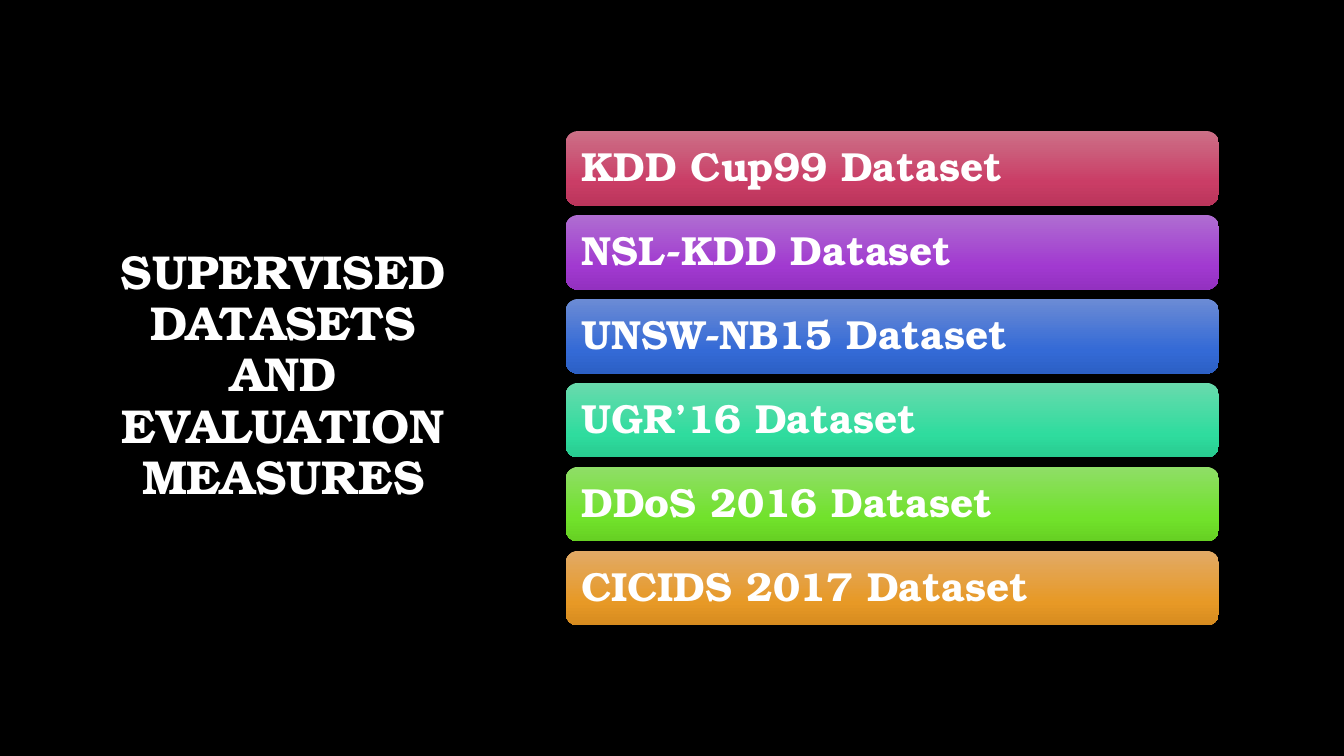
from copy import deepcopy

from pptx import Presentation
from pptx.dml.color import RGBColor
from pptx.enum.shapes import MSO_SHAPE
from pptx.enum.text import MSO_ANCHOR, PP_ALIGN
from pptx.oxml.ns import qn
from pptx.util import Inches, Pt

FONT = "TeX Gyre Bonum"
WHITE = "FFFFFF"
STOP_POSITIONS = (0, 0.69, 1)
BAR_TOP, BAR_PITCH = 1.3, 0.833
DATASETS = [
    ("KDD Cup99 Dataset", ("CC7087", "CA3D66", "BA355B")),
    ("NSL-KDD Dataset", ("AF6DD1", "A139D0", "9331C0")),
    ("UNSW-NB15 Dataset", ("6B8BD5", "346AD6", "2C60C5")),
    ("UGR’16 Dataset", ("69DAAD", "2FDC9E", "28CB90")),
    ("DDoS 2016 Dataset", ("8FDE67", "71E22B", "66D023")),
    ("CICIDS 2017 Dataset", ("E2AA66", "E79926", "D68B1F")),
]


def rgb(hex_code):
    """Return the colour for a hex string."""
    return RGBColor.from_string(hex_code)


def write_text(frame, text, size, align):
    """Write one bold white paragraph, centred vertically."""
    frame.word_wrap = True
    frame.vertical_anchor = MSO_ANCHOR.MIDDLE
    paragraph = frame.paragraphs[0]
    paragraph.alignment = align
    paragraph.line_spacing = 0.9
    run = paragraph.add_run()
    run.text = text
    run.font.name = FONT
    run.font.size = Pt(size)
    run.font.bold = True
    run.font.color.rgb = rgb(WHITE)


def fill_downward(shape, colours):
    """Fill a shape with a three-stop gradient from top to bottom."""
    shape.fill.gradient()
    shape.fill.gradient_angle = 270
    stop_list = shape.element.spPr.find(qn("a:gradFill")).find(qn("a:gsLst"))
    stop_list.append(deepcopy(stop_list[0]))
    for stop, position, colour in zip(shape.fill.gradient_stops, STOP_POSITIONS, colours):
        stop.position = position
        stop.color.rgb = rgb(colour)


def add_title(slide, text):
    """Place and format the title at the left."""
    title = slide.shapes.title
    title.left, title.top = Inches(0.82), Inches(0.67)
    title.width, title.height = Inches(3.98), Inches(6.13)
    write_text(title.text_frame, text, 34, PP_ALIGN.CENTER)


def add_dataset_bar(slide, top, name, colours):
    """Add one rounded bar that holds a dataset name."""
    bar = slide.shapes.add_shape(
        MSO_SHAPE.ROUNDED_RECTANGLE, Inches(5.61), Inches(top), Inches(6.48), Inches(0.74)
    )
    bar.shadow.inherit = False
    bar.line.fill.background()
    fill_downward(bar, colours)
    frame = bar.text_frame
    frame.margin_left = frame.margin_right = Inches(0.12)
    frame.margin_top = frame.margin_bottom = Inches(0.05)
    write_text(frame, name, 29, PP_ALIGN.LEFT)


def main():
    """Build and save the slide."""
    deck = Presentation()
    deck.slide_width, deck.slide_height = Inches(13.33), Inches(7.5)
    slide = deck.slides.add_slide(deck.slide_layouts[5])
    slide.background.fill.solid()
    slide.background.fill.fore_color.rgb = rgb("000000")
    add_title(slide, "SUPERVISED DATASETS AND EVALUATION MEASURES")
    for index, (name, colours) in enumerate(DATASETS):
        add_dataset_bar(slide, BAR_TOP + index * BAR_PITCH, name, colours)
    deck.save("out.pptx")


if __name__ == "__main__":
    main()
